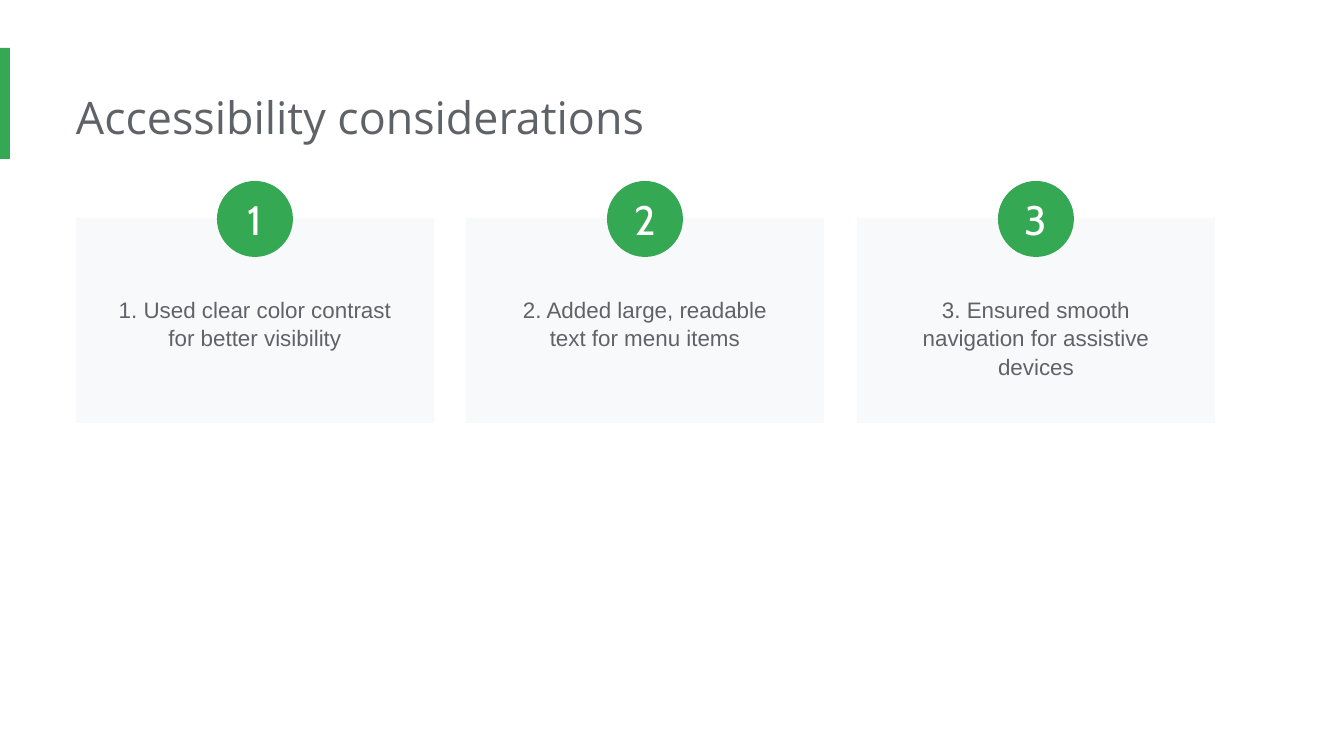
from dataclasses import dataclass

from pptx import Presentation
from pptx.dml.color import RGBColor
from pptx.enum.shapes import MSO_SHAPE
from pptx.enum.text import MSO_ANCHOR, PP_ALIGN
from pptx.util import Pt

RECT, OVAL = MSO_SHAPE.RECTANGLE, MSO_SHAPE.OVAL
LEFT, CENTER = PP_ALIGN.LEFT, PP_ALIGN.CENTER
TOP, MIDDLE = MSO_ANCHOR.TOP, MSO_ANCHOR.MIDDLE
SCALE = 914400 / 134.4


@dataclass(frozen=True)
class Theme:
    """Colours, fonts and type sizes of the slide."""

    green: str = "34A853"
    gray: str = "5F6368"
    pale: str = "F8F9FA"
    white: str = "FFFFFF"
    head: tuple = ("Open Sans", 24)
    body: tuple = ("Arial", 12)
    mark: tuple = ("Cabin", 22)


THEME = Theme()
ITEMS = (
    "1. Used clear color contrast for better visibility",
    "2. Added large, readable text for menu items",
    "3. Ensured smooth navigation for assistive devices",
)
CARD_X, CARD_Y, CARD_W, CARD_H = 76, 218, 358, 205
SPAN = 781
DOT = 76
TEXT_W = 302


def px(size):
    """Turn pixels into EMU."""
    return round(size * SCALE)


def write(shape, text, style, color, align=LEFT, anchor=TOP, pads=(13, 13, 13, 13), lead=1.0):
    """Put one formatted paragraph into a shape."""
    frame = shape.text_frame
    frame.word_wrap = True
    frame.vertical_anchor = anchor
    (frame.margin_left, frame.margin_top,
     frame.margin_right, frame.margin_bottom) = map(px, pads)
    para = frame.paragraphs[0]
    para.alignment = align
    para.line_spacing = lead
    run = para.add_run()
    run.text = text
    run.font.name, size = style
    run.font.size = Pt(size)
    run.font.color.rgb = RGBColor.from_string(color)


def block(slide, kind, box, color):
    """Add a plain filled shape."""
    shape = slide.shapes.add_shape(kind, *map(px, box))
    shape.shadow.inherit = False
    shape.fill.solid()
    shape.fill.fore_color.rgb = RGBColor.from_string(color)
    shape.line.fill.background()
    return shape


def label(slide, box, text, style, **form):
    """Add a text box."""
    shape = slide.shapes.add_textbox(*map(px, box))
    write(shape, text, style, THEME.gray, **form)


def card(slide, index, text):
    """Add a card with its text and numbered dot."""
    left = CARD_X + index * SPAN // 2
    block(slide, RECT, (left, CARD_Y, CARD_W, CARD_H), THEME.pale)
    label(slide, (left + (CARD_W - TEXT_W) // 2, 282, TEXT_W, 179), text,
          THEME.body, align=CENTER, lead=1.05)
    dot = block(slide, OVAL, (left + (CARD_W - DOT) // 2, 181, DOT, DOT), THEME.green)
    write(dot, str(index + 1), THEME.mark, THEME.white,
          align=CENTER, anchor=MIDDLE, pads=(0, 0, 0, 0))


def main():
    """Build and save the slide."""
    deck = Presentation()
    deck.slide_width, deck.slide_height = px(1344), px(756)
    slide = deck.slides.add_slide(deck.slide_layouts[6])
    block(slide, RECT, (0, 48, 10, 111), THEME.green)
    label(slide, (CARD_X, 77, 1030, 82), "Accessibility considerations",
          THEME.head, pads=(0, 13, 13, 13))
    for index, text in enumerate(ITEMS):
        card(slide, index, text)
    deck.save("out.pptx")


if __name__ == "__main__":
    main()
